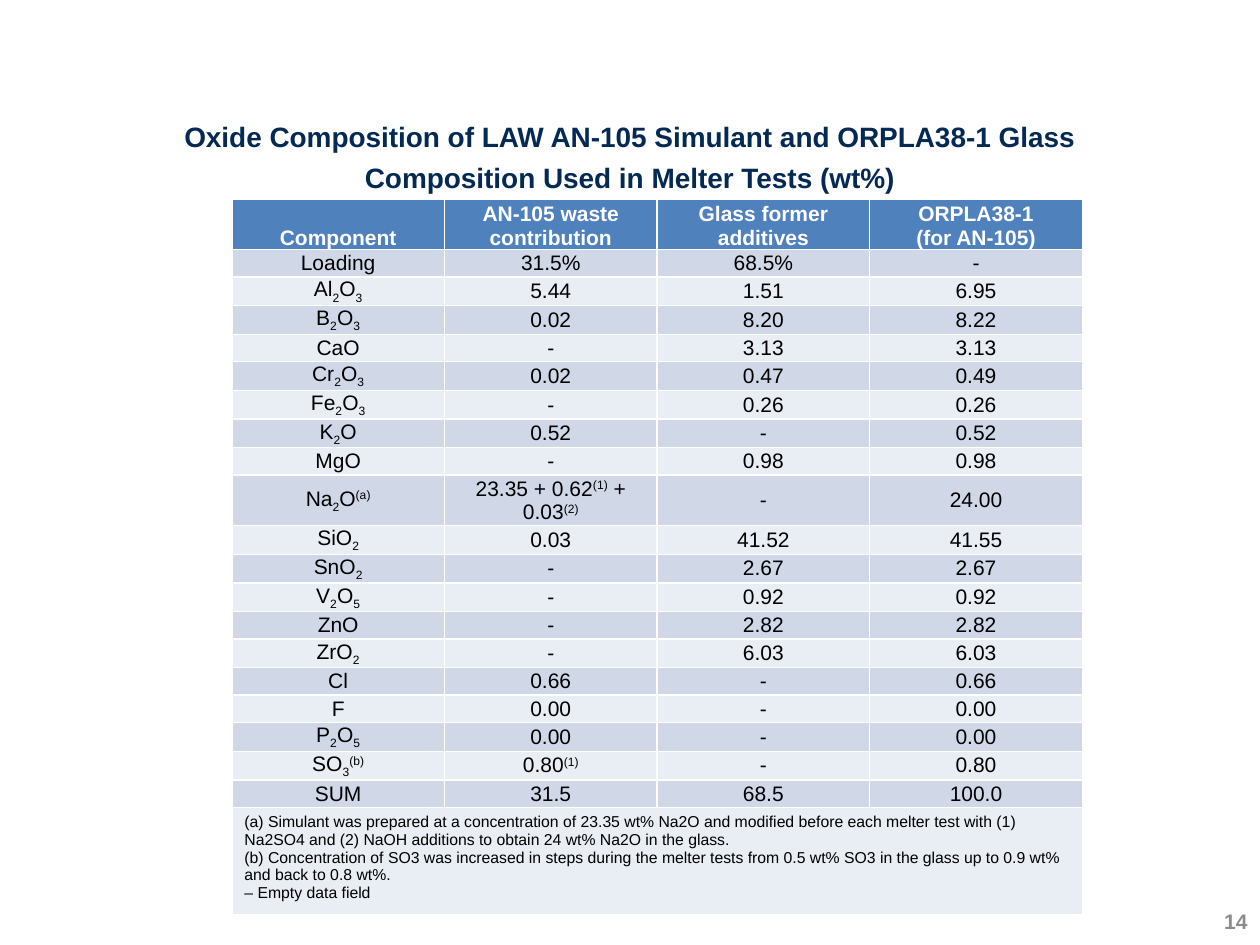
from dataclasses import dataclass

from pptx import Presentation
from pptx.dml.color import RGBColor
from pptx.enum.text import MSO_ANCHOR, PP_ALIGN
from pptx.util import Inches, Pt


@dataclass(frozen=True)
class Theme:
    font: str = "Arial"
    title: str = "042A54"
    header: str = "4F81BD"
    header_text: str = "FFFFFF"
    bands: tuple = ("D0D8E8", "E9EDF4")
    body_text: str = "000000"
    number: str = "8C8C8C"
    title_size: int = 16
    body_size: int = 12
    note_size: int = 9


THEME = Theme()
WIDTH, HEIGHT = Inches(10), Inches(7.5)
BASELINES = {"_": "-25000", "^": "30000"}

TITLE = [
    "Oxide Composition of LAW AN-105 Simulant and ORPLA38-1 Glass",
    "Composition Used in Melter Tests (wt%)",
]
HEADERS = [
    ["Component"],
    ["AN-105 waste contribution"],
    ["Glass former additives"],
    ["ORPLA38-1", "(for AN-105)"],
]
# Runs are split by "|"; a leading "_" lowers a run and "^" raises it.
ROWS = [
    ("Loading", "31.5%", "68.5%", "-"),
    ("Al|_2|O|_3", "5.44", "1.51", "6.95"),
    ("B|_2|O|_3", "0.02", "8.20", "8.22"),
    ("CaO", "-", "3.13", "3.13"),
    ("Cr|_2|O|_3", "0.02", "0.47", "0.49"),
    ("Fe|_2|O|_3", "-", "0.26", "0.26"),
    ("K|_2|O", "0.52", "-", "0.52"),
    ("MgO", "-", "0.98", "0.98"),
    ("Na|_2|O|^(a)", "23.35 + 0.62|^(1)| + 0.03|^(2)", "-", "24.00"),
    ("SiO|_2", "0.03", "41.52", "41.55"),
    ("SnO|_2", "-", "2.67", "2.67"),
    ("V|_2|O|_5", "-", "0.92", "0.92"),
    ("ZnO", "-", "2.82", "2.82"),
    ("ZrO|_2", "-", "6.03", "6.03"),
    ("Cl", "0.66", "-", "0.66"),
    ("F", "0.00", "-", "0.00"),
    ("P|_2|O|_5", "0.00", "-", "0.00"),
    ("SO|_3|^(b)", "0.80|^(1)", "-", "0.80"),
    ("SUM", "31.5", "68.5", "100.0"),
]
NOTES = [
    "(a) Simulant was prepared at a concentration of 23.35 wt% Na2O and modified before each "
    "melter test with (1) Na2SO4 and (2) NaOH additions to obtain 24 wt% Na2O in the glass.",
    "(b) Concentration of SO3 was increased in steps during the melter tests from 0.5 wt% SO3 "
    "in the glass up to 0.9 wt% and back to 0.8 wt%.",
    "– Empty data field",
]
TALL, NORMAL, NOTE = 7, 4, 15  # row heights in grid units
ROW_UNITS = [TALL] + [TALL if row[0].startswith("Na") else NORMAL for row in ROWS] + [NOTE]


def share(left, top, width, height):
    """Turn shares of the slide size into a box of lengths."""
    return (int(left * WIDTH), int(top * HEIGHT), int(width * WIDTH), int(height * HEIGHT))


def set_values(target, values):
    for name, value in values.items():
        setattr(target, name, value)


def write(frame, lines, size, color, align=PP_ALIGN.CENTER, bold=False, gap=0):
    """Fill a text frame, one paragraph a line, with raised and lowered runs."""
    font_values = {"name": THEME.font, "size": Pt(size), "bold": bold}
    for index, line in enumerate(lines):
        paragraph = frame.add_paragraph() if index else frame.paragraphs[0]
        paragraph.alignment = align
        paragraph.space_before = Pt(gap if index else 0)
        for piece in line.split("|"):
            run = paragraph.add_run()
            run.text = piece.lstrip("_^")
            set_values(run.font, font_values)
            run.font.color.rgb = RGBColor.from_string(color)
            if piece[0] in BASELINES:
                run._r.get_or_add_rPr().set("baseline", BASELINES[piece[0]])


def add_title(slide, box):
    frame = slide.shapes.add_textbox(*box).text_frame
    frame.word_wrap = True
    write(frame, TITLE, THEME.title_size, THEME.title, bold=True, gap=4)


def add_page_number(slide, box):
    frame = slide.shapes.add_textbox(*box).text_frame
    set_values(frame, {"word_wrap": True, "vertical_anchor": MSO_ANCHOR.MIDDLE,
                       "margin_top": 0, "margin_bottom": 0})
    write(frame, ["14"], THEME.body_size, THEME.number, PP_ALIGN.RIGHT, bold=True)


def fill_cell(cell, lines, fill, color, anchor=MSO_ANCHOR.MIDDLE, bold=False):
    cell.fill.solid()
    cell.fill.fore_color.rgb = RGBColor.from_string(fill)
    set_values(cell, {"vertical_anchor": anchor, "margin_left": Inches(0.07),
                      "margin_right": Inches(0.07), "margin_top": 0, "margin_bottom": 0})
    write(cell.text_frame, lines, THEME.body_size, color, bold=bold)


def add_composition_table(slide, box):
    left, top, width, height = box
    table = slide.shapes.add_table(len(ROW_UNITS), len(HEADERS), *box).table
    for column in table.columns:
        column.width = width // len(HEADERS)
    for row, units in zip(table.rows, ROW_UNITS):
        row.height = height * units // sum(ROW_UNITS)

    for column, lines in enumerate(HEADERS):
        fill_cell(table.cell(0, column), lines, THEME.header, THEME.header_text,
                  MSO_ANCHOR.BOTTOM, bold=True)
    for index, values in enumerate(ROWS):
        for column, value in enumerate(values):
            fill_cell(table.cell(index + 1, column), [value], THEME.bands[index % 2],
                      THEME.body_text)

    last = len(ROW_UNITS) - 1
    note = table.cell(last, 0)
    note.merge(table.cell(last, len(HEADERS) - 1))
    note.fill.solid()
    note.fill.fore_color.rgb = RGBColor.from_string(THEME.bands[1])
    write(note.text_frame, NOTES, THEME.note_size, THEME.body_text, PP_ALIGN.LEFT)


def main():
    presentation = Presentation()
    set_values(presentation, {"slide_width": WIDTH, "slide_height": HEIGHT})
    slide = presentation.slides.add_slide(presentation.slide_layouts[6])
    add_page_number(slide, share(0.72, 0.96, 0.28, 0.03))
    add_title(slide, share(0, 0.12, 1, 0.09))
    add_composition_table(slide, (Inches(1.84), Inches(1.58), Inches(6.75), Inches(5.5)))
    presentation.save("out.pptx")


if __name__ == "__main__":
    main()
